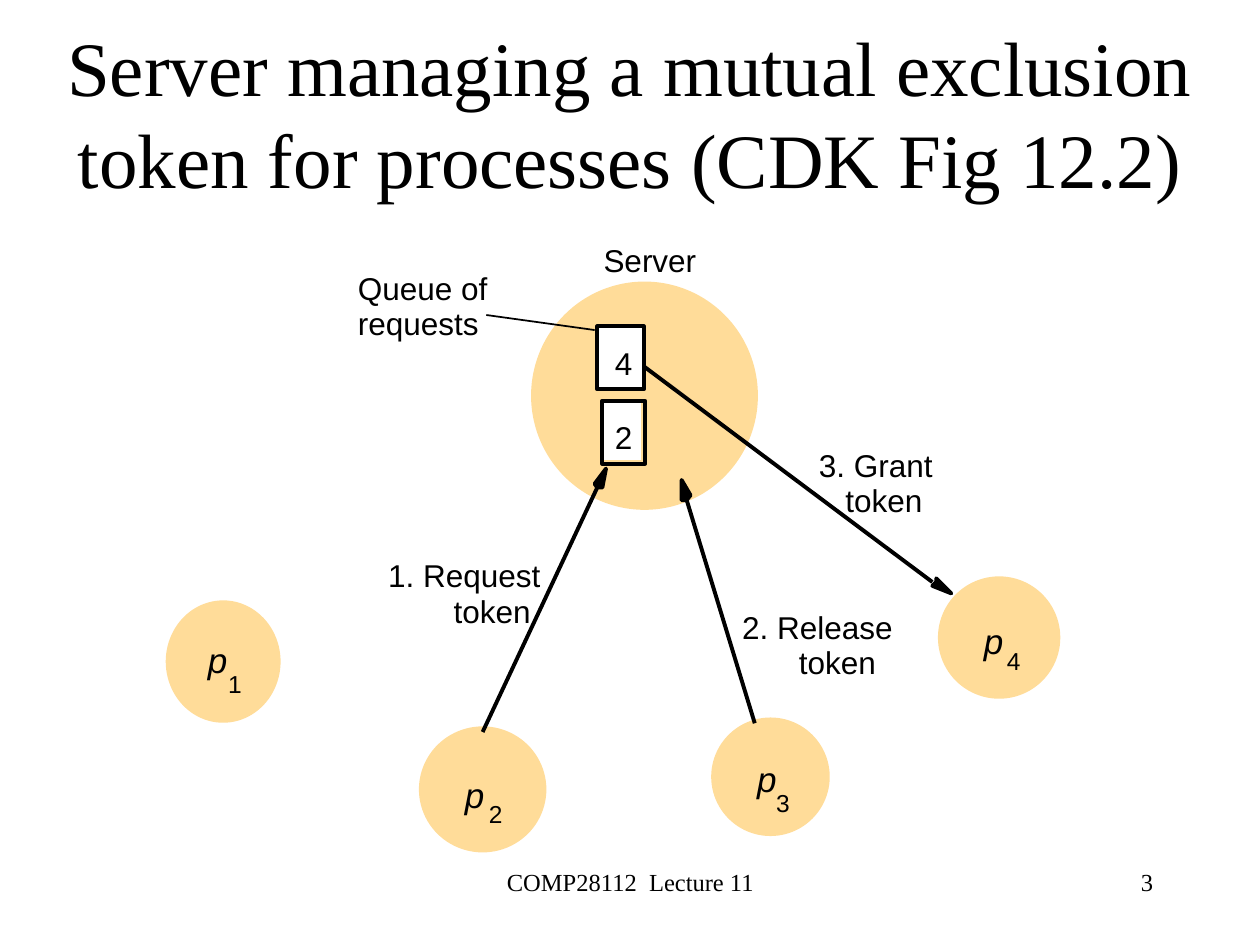
from lxml.etree import SubElement
from pptx import Presentation
from pptx.dml.color import RGBColor
from pptx.enum.shapes import MSO_CONNECTOR as Conn, MSO_SHAPE as Kind
from pptx.enum.text import MSO_ANCHOR as Anchor, MSO_AUTO_SIZE as Fit, PP_ALIGN as Align
from pptx.oxml.ns import qn
from pptx.util import Pt

COLORS = {"ink": "000000", "paper": "FFFFFF", "node": "FFDC99"}
SERIF, SANS = "Times New Roman", "Arial"
THICK = 2.25
LEAD = 20.2

# ellipse box, place of the letter, place of the number
NODES = {
    "4": ((537.1, 330.5, 67.7, 67.7), (562.3, 354.2), (575.3, 369.4)),
    "3": ((407.5, 411.1, 65.5, 65.5), (432.7, 432.7), (443.5, 450)),
    "2": ((240.5, 416.2, 70.6, 69.8), (265.7, 442.1), (279.4, 456.5)),
    "1": ((95.8, 344.2, 63.4, 67.7), (118.8, 365), (130.3, 382.3)),
}

# left and top of the first line, then (text, width, indent) for each line
LABELS = [
    (344.9, 137.8, [("Server", 55, 0)]),
    (204.5, 153.7, [("Queue of", 76, 0), ("requests", 71, 0)]),
    (221.8, 317.8, [("1. Request", 89, 0), ("token", 46, 37.4)]),
    (424.1, 347.2, [("2. Release", 88, 0), ("token", 46, 32.4)]),
    (468, 254.9, [("3. Grant", 67, 0), ("token", 46, 15.1)]),
]

HEADS = [
    [(341.3, 278.6), (339.8, 276.5), (346.3, 267.8), (344.2, 278.6)],
    [(535, 332.6), (535, 330.5), (543.6, 339.1), (532.8, 334.8)],
    [(392.4, 285.8), (389.5, 285.8), (389.5, 274.3), (394.6, 283)],
]


def color(name):
    return RGBColor.from_string(COLORS[name])


def style(shape, fill, line):
    shape.shadow.inherit = False
    if fill:
        shape.fill.solid()
        shape.fill.fore_color.rgb = color(fill)
    else:
        shape.fill.background()
    if line:
        shape.line.color.rgb = color(line)
        shape.line.width = Pt(THICK)
    else:
        shape.line.fill.background()


def shape(slide, kind, box, fill, line=None):
    style(slide.shapes.add_shape(kind, *map(Pt, box)), fill, line)


def head(slide, points):
    """Draw a solid arrowhead outline."""
    first, *rest = [(Pt(x), Pt(y)) for x, y in points]
    pen = slide.shapes.build_freeform(*first)
    pen.add_line_segments(rest, close=True)
    style(pen.convert_to_shape(), "ink", "ink")


def line(slide, start, end, width=THICK):
    link = slide.shapes.add_connector(Conn.STRAIGHT, *map(Pt, start + end))
    link.line.color.rgb = color("ink")
    link.line.width = Pt(width)
    SubElement(link._element.spPr, qn("a:effectLst"))


def write(frame, words, face, size, align, italic=False):
    para = frame.paragraphs[0]
    para.text = words
    para.alignment = align
    font = para.font
    font.name, font.size, font.italic = face, Pt(size), italic
    font.color.rgb = color("ink")


def block(slide, words, box, size, align, anchor=Anchor.TOP):
    """Add wrapped serif text with the usual margins."""
    frame = slide.shapes.add_textbox(*map(Pt, box)).text_frame
    frame.word_wrap = True
    frame.vertical_anchor = anchor
    write(frame, words, SERIF, size, align)


def label(slide, words, left, top, width, size=18, italic=False):
    """Add one tight line of sans text."""
    box = (left, top, width, size * 1.18)
    frame = slide.shapes.add_textbox(*map(Pt, box)).text_frame
    frame.margin_left = frame.margin_right = 0
    frame.margin_top = frame.margin_bottom = 0
    frame.word_wrap = False
    frame.auto_size = Fit.SHAPE_TO_FIT_TEXT
    write(frame, words, SANS, size, Align.LEFT, italic)


def entry(slide, digit, left, top, width, fill=None):
    """Draw one queue entry: a white patch, a frame and its number."""
    shape(slide, Kind.RECTANGLE, (left, top, width - 2.5, 33.8), "paper")
    shape(slide, Kind.RECTANGLE, (left, top, width, 36), fill, "ink")
    label(slide, digit, 351.4, top + 10.1, 10.5)


def node(slide, digit, oval, letter, number):
    shape(slide, Kind.OVAL, oval, "node", "node")
    label(slide, "p", *letter, 11.5, 20, True)
    label(slide, digit, *number, 8.2, 14)


def main():
    deck = Presentation()
    deck.slide_width, deck.slide_height = Pt(720), Pt(540)
    slide = deck.slides.add_slide(deck.slide_layouts[6])

    block(slide, "COMP28112  Lecture 11", (246.2, 491.8, 228.2, 36), 14, Align.CENTER)
    block(slide, "3", (516.2, 491.8, 149.8, 36), 14, Align.RIGHT)
    block(slide, "Server managing a mutual exclusion token for processes (CDK Fig 12.2)",
          (0, 66.2, 720, 54), 44, Align.CENTER, Anchor.BOTTOM)

    shape(slide, Kind.OVAL, (304.6, 162, 127.4, 128.2), "node", "node")
    line(slide, (361.4, 204.5), (532.8, 332.6))
    entry(slide, "4", 341.3, 186.5, 26.6, "paper")
    entry(slide, "2", 344.2, 229, 24.5)
    for digit, parts in NODES.items():
        node(slide, digit, *parts)

    line(slide, (275.8, 418.3), (341.3, 278.6))
    line(slide, (431.3, 413.3), (392.4, 285.8))
    line(slide, (277.9, 180), (339.8, 188.6), 1)
    for points in HEADS:
        head(slide, points)
    for left, top, rows in LABELS:
        for row, (words, width, indent) in enumerate(rows):
            label(slide, words, left + indent, top + row * LEAD, width)

    deck.save("out.pptx")


if __name__ == "__main__":
    main()
